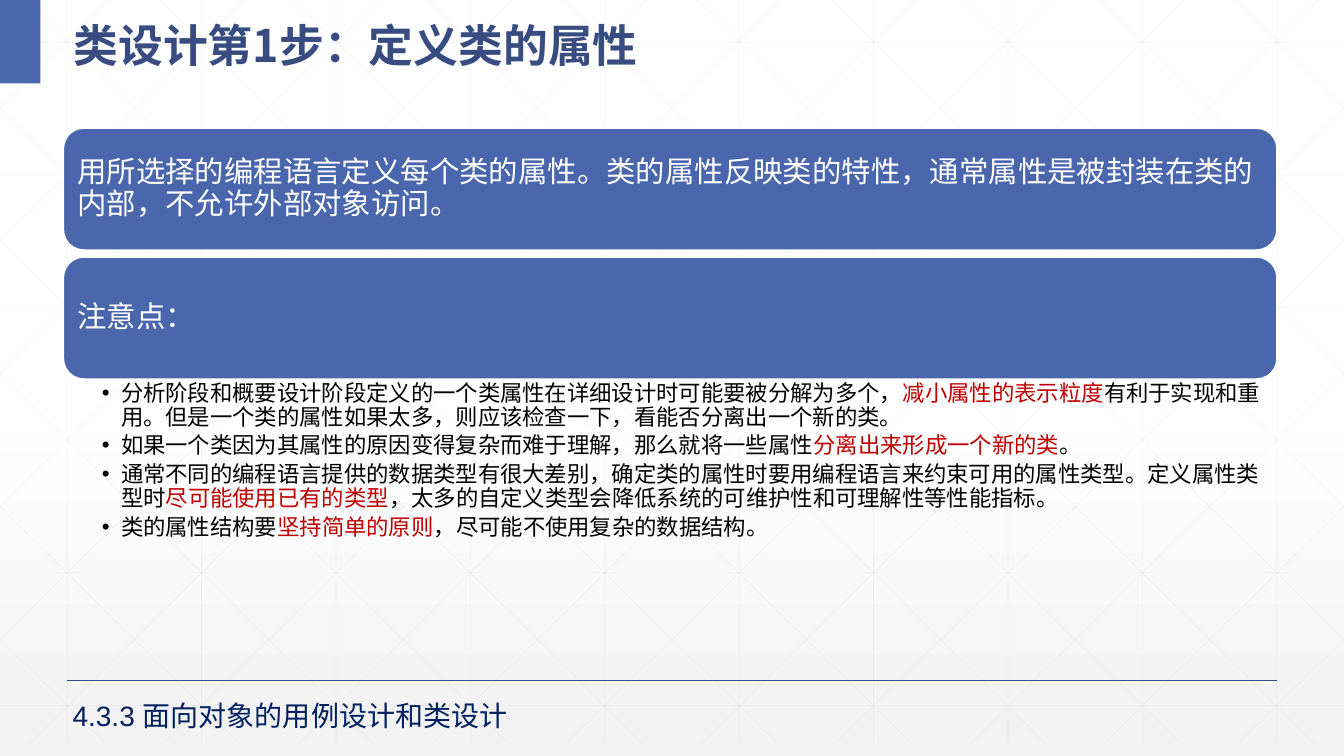
from lxml.etree import SubElement
from pptx import Presentation
from pptx.dml.color import RGBColor
from pptx.enum.shapes import MSO_CONNECTOR, MSO_SHAPE
from pptx.enum.text import MSO_ANCHOR, MSO_AUTO_SIZE, PP_ALIGN
from pptx.oxml.ns import qn
from pptx.util import Cm, Pt

COLORS = {
    "blue": "4A66AC", "title": "384C81", "footer": "002060", "accent": "C00000",
    "black": "000000", "white": "FFFFFF", "grid": "D9D9D9", "shade": "F2F2F2",
}
TITLE = "类设计第1步：定义类的属性"
SECTION = "4.3.3 面向对象的用例设计和类设计"
CARDS = [
    "用所选择的编程语言定义每个类的属性。类的属性反映类的特性，通常属性是被封装在类的内部，不允许外部对象访问。",
    "注意点：",
]
POINTS = [
    ("分析阶段和概要设计阶段定义的一个类属性在详细设计时可能要被分解为多个，",
     "减小属性的表示粒度",
     "有利于实现和重用。但是一个类的属性如果太多，则应该检查一下，看能否分离出一个新的类。"),
    ("如果一个类因为其属性的原因变得复杂而难于理解，那么就将一些属性",
     "分离出来形成一个新的类", "。"),
    ("通常不同的编程语言提供的数据类型有很大差别，确定类的属性时要用编程语言来约束可用的属性类型。定义属性类型时",
     "尽可能使用已有的类型",
     "，太多的自定义类型会降低系统的可维护性和可理解性等性能指标。"),
    ("类的属性结构要", "坚持简单的原则", "，尽可能不使用复杂的数据结构。"),
]
BACKGROUND_STOPS = [(0, "white"), (53, "white"), (100, "shade")]

WIDTH, HEIGHT = 33.87, 19.05
STEP, GRID_BOTTOM = WIDTH / 10, 18.72
ROW_TOP, ROW_STEP = 1.07, 3.34
DIAGONAL_START, DIAGONAL_RUN = 0.64, 18.93
LEFT, CONTENT_WIDTH = 1.6, 30.58
CARD_TOP, CARD_HEIGHT, CARD_PITCH = 3.23, 3.07, 3.25


def rgb(name):
    return RGBColor.from_string(COLORS[name])


def place(shape, left, top, width, height):
    box = {"left": left, "top": top, "width": width, "height": height}
    for name, value in box.items():
        setattr(shape, name, Cm(value))


def set_frame(frame, anchor, margins, auto_size=MSO_AUTO_SIZE.NONE):
    left, top, right, bottom = margins
    values = {
        "word_wrap": True, "auto_size": auto_size, "vertical_anchor": anchor,
        "margin_left": Cm(left), "margin_top": Cm(top),
        "margin_right": Cm(right), "margin_bottom": Cm(bottom),
    }
    for name, value in values.items():
        setattr(frame, name, value)


def set_paragraph(paragraph, line_spacing, space_after=0):
    values = {"alignment": PP_ALIGN.LEFT, "line_spacing": line_spacing,
              "space_before": Pt(0), "space_after": Pt(space_after)}
    for name, value in values.items():
        setattr(paragraph, name, value)


def add_run(paragraph, text, size, color, font="Arial", bold=False):
    run = paragraph.add_run()
    run.text = text
    run.font.color.rgb = rgb(color)
    for name, value in {"name": font, "size": Pt(size), "bold": bold}.items():
        setattr(run.font, name, value)
    properties = run.font._element
    properties.set("lang", "zh-CN")
    SubElement(properties, qn("a:ea")).set("typeface", font)


def add_line(shapes, start, end, color, width, alpha=None):
    points = [Cm(value) for value in (*start, *end)]
    line = shapes.add_connector(MSO_CONNECTOR.STRAIGHT, *points)
    line.line.color.rgb = rgb(color)
    line.line.width = Pt(width)
    if alpha:
        fill = line._element.spPr.find(".//" + qn("a:srgbClr"))
        SubElement(fill, qn("a:alpha")).set("val", str(alpha * 1000))
    SubElement(line._element.spPr, qn("a:effectLst"))


def add_bullet(paragraph):
    properties = paragraph._p.get_or_add_pPr()
    properties.set("marL", str(Cm(0.48)))
    properties.set("indent", str(-Cm(0.48)))
    SubElement(properties, qn("a:buFont")).set("typeface", "Arial")
    SubElement(properties, qn("a:buChar")).set("char", "•")


def paint_background(slide):
    fill = slide.background.fill
    fill.gradient()
    fill.gradient_angle = 270
    stops = slide.background._cSld.find(".//" + qn("a:gsLst"))
    for stop in list(stops):
        stops.remove(stop)
    for position, color in BACKGROUND_STOPS:
        stop = SubElement(stops, qn("a:gs"))
        stop.set("pos", str(position * 1000))
        SubElement(stop, qn("a:srgbClr")).set("val", COLORS[color])


def grid_lines():
    for column in range(10):
        x = STEP * (column + 0.5)
        yield (x, 0), (x, GRID_BOTTOM)
    for row in range(6):
        y = ROW_TOP + ROW_STEP * row
        yield (0, y), (WIDTH, y)
    slope = GRID_BOTTOM / DIAGONAL_RUN
    for index in range(-5, 10):
        origin = DIAGONAL_START + STEP * index
        x1, x2 = max(origin, 0), min(origin + DIAGONAL_RUN, WIDTH)
        y1, y2 = (x1 - origin) * slope, (x2 - origin) * slope
        yield (x1, y1), (x2, y2)
        yield (WIDTH - x1, y1), (WIDTH - x2, y2)


def add_box(slide, kind, left, top, width, height):
    box = slide.shapes.add_shape(kind, Cm(left), Cm(top), Cm(width), Cm(height))
    box.shadow.inherit = False
    box.fill.solid()
    box.fill.fore_color.rgb = rgb("blue")
    box.line.fill.background()
    return box


def main():
    presentation = Presentation()
    presentation.slide_width, presentation.slide_height = Cm(WIDTH), Cm(HEIGHT)
    slide = presentation.slides.add_slide(presentation.slide_layouts[1])
    paint_background(slide)

    grid = slide.shapes.add_group_shape()
    for start, end in grid_lines():
        add_line(grid.shapes, start, end, "grid", 0.5, alpha=25)
    slide.shapes._spTree.insert(2, grid._element)
    add_line(slide.shapes, (1.7, 17.15), (32.18, 17.15), "title", 1)
    add_box(slide, MSO_SHAPE.RECTANGLE, 0, 0, 1.02, 2.1)

    title = slide.shapes.title
    place(title, LEFT, 0, 16.1, 1.85)
    set_frame(title.text_frame, MSO_ANCHOR.MIDDLE, (0.25, 0.13, 0.25, 0.13))
    heading = title.text_frame.paragraphs[0]
    set_paragraph(heading, 1.3)
    add_run(heading, TITLE, 32, "title", "Noto Sans CJK SC", bold=True)

    for index, text in enumerate(CARDS):
        card = add_box(slide, MSO_SHAPE.ROUNDED_RECTANGLE, LEFT,
                       CARD_TOP + CARD_PITCH * index, CONTENT_WIDTH, CARD_HEIGHT)
        card.line.color.rgb = rgb("white")
        card.line.width = Pt(1)
        set_frame(card.text_frame, MSO_ANCHOR.MIDDLE, (0.2, 0.2, 0.2, 0.2))
        paragraph = card.text_frame.paragraphs[0]
        set_paragraph(paragraph, 0.9)
        add_run(paragraph, text, 21, "white")

    body = slide.placeholders[1]
    place(body, LEFT, 9.55, CONTENT_WIDTH, 6.05)
    set_frame(body.text_frame, MSO_ANCHOR.TOP, (0.97, 0.07, 0.4, 0.07))
    for index, parts in enumerate(POINTS):
        paragraph = body.text_frame.paragraphs[0] if index == 0 else body.text_frame.add_paragraph()
        add_bullet(paragraph)
        set_paragraph(paragraph, 0.9, 3.2)
        for text, color in zip(parts, ("black", "accent", "black")):
            add_run(paragraph, text, 16, color)

    footer = slide.shapes.add_textbox(Cm(1.58), Cm(17.47), Cm(15.34), Cm(1.11))
    set_frame(footer.text_frame, MSO_ANCHOR.TOP, (0.25, 0.13, 0.25, 0.13),
              MSO_AUTO_SIZE.SHAPE_TO_FIT_TEXT)
    paragraph = footer.text_frame.paragraphs[0]
    set_paragraph(paragraph, 1.0)
    add_run(paragraph, SECTION, 20, "footer")

    presentation.save("out.pptx")


if __name__ == "__main__":
    main()
